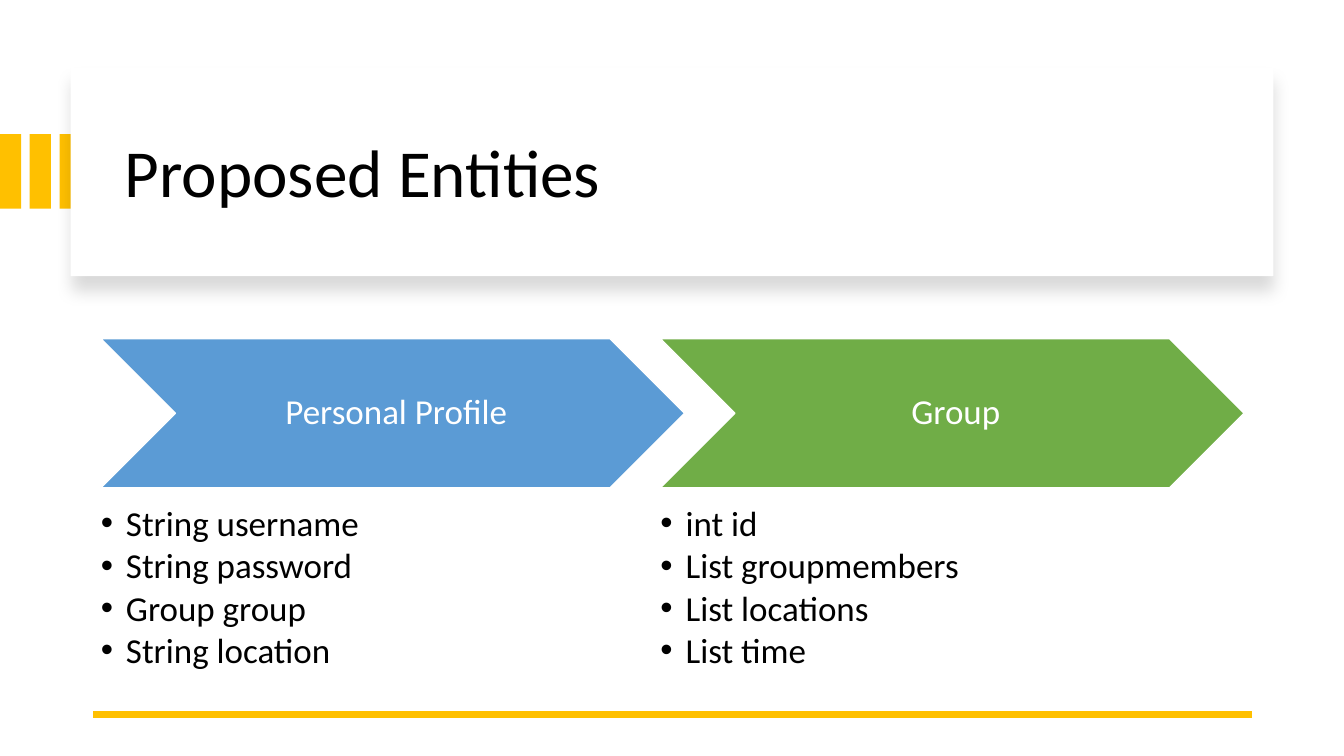
from lxml.etree import SubElement
from pptx import Presentation
from pptx.dml.color import RGBColor
from pptx.enum.shapes import MSO_CONNECTOR, MSO_SHAPE
from pptx.enum.text import MSO_ANCHOR, PP_ALIGN
from pptx.oxml import parse_xml
from pptx.oxml.ns import nsdecls, qn
from pptx.util import Inches, Pt

AMBER = "FFC000"
SHADOW = f"""<a:effectLst {nsdecls('a')}>
  <a:outerShdw blurRad="{Pt(11)}" dist="{Pt(10)}" dir="5400000" algn="t" rotWithShape="0">
    <a:srgbClr val="000000"><a:alpha val="15000"/></a:srgbClr>
  </a:outerShdw>
</a:effectLst>"""


def add_filled(kind, x, y, w, h, color):
    sp = s.shapes.add_shape(kind, Inches(x), Inches(y), Inches(w), Inches(h))
    sp.shadow.inherit = False
    sp.fill.solid()
    sp.fill.fore_color.rgb = RGBColor.from_string(color)
    sp.line.fill.background()
    return sp


def add_text(p, text, size, color):
    p.line_spacing = 0.9
    r = p.add_run()
    r.text = text
    r.font.name = "Calibri"
    r.font.size = Pt(size)
    r.font.color.rgb = RGBColor.from_string(color)


prs = Presentation()
prs.slide_width, prs.slide_height = Inches(13.33), Inches(7.5)
s = prs.slides.add_slide(prs.slide_layouts[6])

# Title card with the amber bars behind its left edge
for i in range(3):
    add_filled(MSO_SHAPE.RECTANGLE, i * 0.295, 1.33, 0.21, 0.74, AMBER)

card = add_filled(MSO_SHAPE.RECTANGLE, 0.7, 0.67, 11.93, 2.07, "FFFFFF")
spPr = card._element.spPr
spPr.replace(spPr.find(qn("a:effectLst")), parse_xml(SHADOW))

title = s.shapes.add_textbox(Inches(1.14), Inches(0.89), Inches(11.13), Inches(1.7))
tf = title.text_frame
tf.word_wrap = True
tf.vertical_anchor = MSO_ANCHOR.MIDDLE
add_text(tf.paragraphs[0], "Proposed Entities", 48, "000000")

# Bottom rule
rule = s.shapes.add_connector(MSO_CONNECTOR.STRAIGHT, Inches(12.42), Inches(7.09),
                              Inches(0.92), Inches(7.09))
rule.line.color.rgb = RGBColor.from_string(AMBER)
rule.line.width = Pt(4.5)
SubElement(rule._element.spPr, qn("a:effectLst"))

# Entities: a chevron heading over a list of fields
entities = [
    ("Personal Profile", "5B9BD5",
     ["String username", "String password", "Group group", "String location"]),
    ("Group", "70AD47",
     ["int id", "List groupmembers", "List locations", "List time"]),
]
for i, (name, color, fields) in enumerate(entities):
    x = 1 + i * 5.55
    chevron = add_filled(MSO_SHAPE.CHEVRON, x, 3.36, 5.79, 1.48, color)
    chevron.line.color.rgb = RGBColor.from_string("FFFFFF")
    chevron.line.width = Pt(1)
    tf = chevron.text_frame
    tf.word_wrap = True
    tf.vertical_anchor = MSO_ANCHOR.MIDDLE
    tf.margin_left = Inches(0.11)
    tf.margin_top = tf.margin_right = tf.margin_bottom = Inches(0.04)
    tf.paragraphs[0].alignment = PP_ALIGN.CENTER
    add_text(tf.paragraphs[0], name, 25, "FFFFFF")

    box = s.shapes.add_textbox(Inches(x), Inches(5.02), Inches(4.63), Inches(1.72))
    tf = box.text_frame
    tf.word_wrap = True
    tf.margin_left = tf.margin_top = tf.margin_right = tf.margin_bottom = 0
    for j, field in enumerate(fields):
        p = tf.paragraphs[0] if j == 0 else tf.add_paragraph()
        pPr = p._p.get_or_add_pPr()
        pPr.set("marL", str(Inches(0.25)))
        pPr.set("indent", str(Inches(-0.25)))
        SubElement(pPr, qn("a:buFont"), typeface="Arial")
        SubElement(pPr, qn("a:buChar"), char="•")
        p.space_after = Pt(3.3)
        add_text(p, field, 25, "000000")

prs.save("out.pptx")
